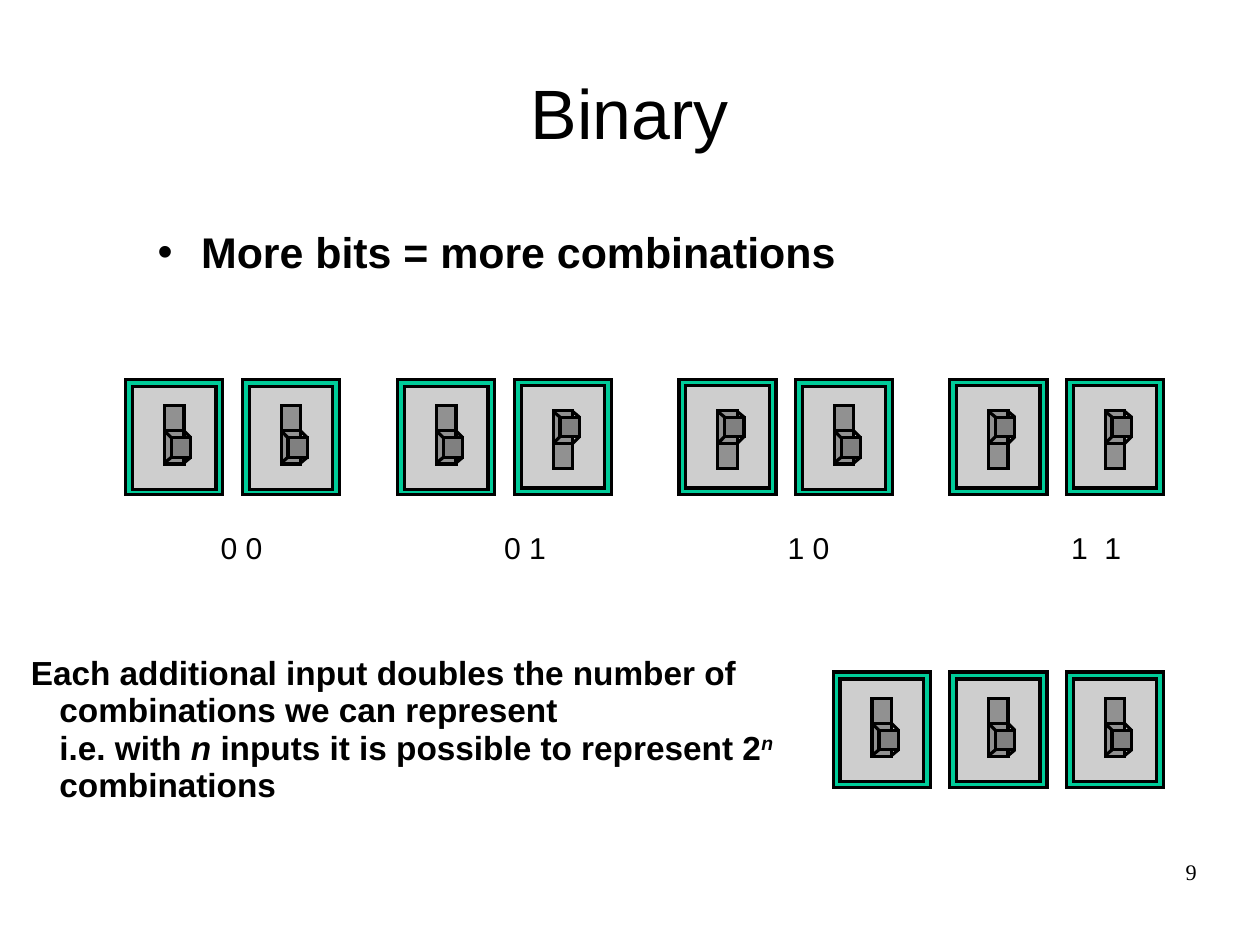
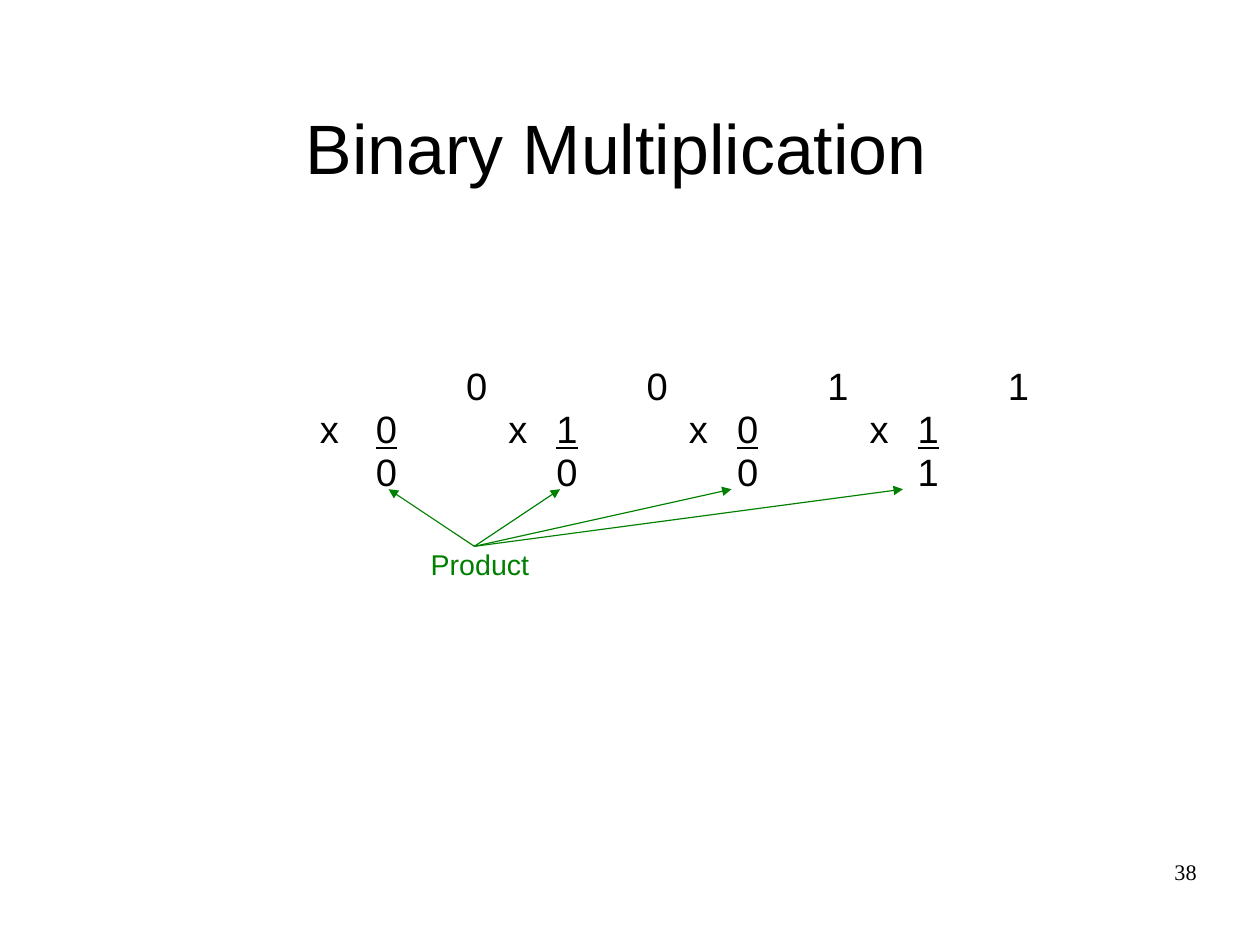
from dataclasses import dataclass
from typing import Any, Sequence

import pptx
import pptx.dml.color
import pptx.enum.shapes
import pptx.enum.text
import pptx.oxml.ns
import pptx.util
from lxml import etree
from pptx.util import Inches

BLACK = "000000"
GREEN = "008000"
PLATE_FRAME = "00CC99"
PLATE = "CECECE"
SLOT = "919191"
KNOB = "808080"
SANS = "Arial"
SERIF = "Times New Roman"
ALIGN = pptx.enum.text.PP_ALIGN

SWITCH_HEIGHT = 1.01
SWITCH_PITCH = 1.02
SUM_PITCH = 1.58


@dataclass(frozen=True)
class Style:
    size: float
    color: str = BLACK
    font: str = SANS
    bold: bool = False


@dataclass(frozen=True)
class Span:
    text: str
    italic: bool = False
    underline: bool = False
    superscript: bool = False


@dataclass(frozen=True)
class Box:
    left: float
    top: float
    width: float
    height: float


@dataclass(frozen=True)
class Part:
    box: Box
    fill: str


@dataclass(frozen=True)
class Edge:
    x1: float
    y1: float
    x2: float
    y2: float


SWITCH_PARTS = (
    Part(Box(0, 0, 0.85, 1.01), PLATE_FRAME),
    Part(Box(0.06, 0.06, 0.73, 0.9), PLATE),
    Part(Box(0.34, 0.23, 0.17, 0.51), SLOT),
    Part(Box(0.4, 0.51, 0.17, 0.17), KNOB),
)
SWITCH_EDGES = (
    Edge(0.34, 0.73, 0.4, 0.68),
    Edge(0.51, 0.73, 0.57, 0.68),
    Edge(0.4, 0.51, 0.34, 0.45),
    Edge(0.57, 0.51, 0.51, 0.45),
    Edge(0.34, 0.45, 0.51, 0.45),
)


def rgb(color: str) -> pptx.dml.color.RGBColor:
    return pptx.dml.color.RGBColor.from_string(color)


def add_child(parent: Any, tag: str, **attrs: str) -> Any:
    return etree.SubElement(parent, pptx.oxml.ns.qn(tag), attrs)


def set_insets(tf: Any, left: float, top: float, right: float, bottom: float) -> None:
    tf.margin_left, tf.margin_top = Inches(left), Inches(top)
    tf.margin_right, tf.margin_bottom = Inches(right), Inches(bottom)


def set_line(line: Any, color: str, width: float) -> Any:
    line.color.rgb = rgb(color)
    line.width = pptx.util.Pt(width)
    ln = line._get_or_add_ln()
    add_child(ln, "a:miter", lim="800000")
    return ln


def write(p: Any, spans: Sequence[Span], style: Style, align: Any = ALIGN.LEFT,
          spacing: float = 0.93) -> None:
    p.alignment = align
    p.line_spacing = spacing
    for span in spans:
        for i, line in enumerate(span.text.split("\n")):
            if i:
                p.add_line_break()
            r = p.add_run()
            r.text = line
            r.font.size = pptx.util.Pt(style.size)
            r.font.name = style.font
            r.font.bold = style.bold
            r.font.italic = span.italic
            r.font.underline = span.underline
            r.font.color.rgb = rgb(style.color)
            if span.superscript:
                r._r.get_or_add_rPr().set("baseline", "30000")


def set_indent(p: Any, left: float, first: float, bullet: str = "") -> None:
    pPr = p._p.get_or_add_pPr()
    pPr.set("marL", str(Inches(left)))
    pPr.set("indent", str(Inches(first)))
    if bullet:
        add_child(pPr, "a:buFont", typeface=SANS)
        add_child(pPr, "a:buChar", char=bullet)


def set_tabs(p: Any, stops: Sequence[float]) -> None:
    tabs = add_child(p._p.get_or_add_pPr(), "a:tabLst")
    for stop in sorted(stops):
        add_child(tabs, "a:tab", pos=str(Inches(stop)), algn="l")


def add_text_box(s: Any, box: Box, insets: Sequence[float], wrap: bool = True) -> Any:
    sp = s.shapes.add_textbox(Inches(box.left), Inches(box.top),
                              Inches(box.width), Inches(box.height))
    sp.text_frame.word_wrap = wrap
    set_insets(sp.text_frame, *insets)
    return sp


def add_line(shapes: Any, edge: Edge, color: str, width: float, arrow: bool = False) -> Any:
    line = shapes.add_connector(
        pptx.enum.shapes.MSO_CONNECTOR.STRAIGHT,
        Inches(edge.x1), Inches(edge.y1), Inches(edge.x2), Inches(edge.y2))
    ln = set_line(line.line, color, width)
    if arrow:
        add_child(ln, "a:tailEnd", type="triangle")
    add_child(line._element.spPr, "a:effectLst")
    return line


def add_switch(s: Any, left: float, top: float, on: bool) -> None:
    shapes = s.shapes.add_group_shape().shapes

    def place(y: float, height: float = 0) -> float:
        return top + (SWITCH_HEIGHT - y - height if on else y)

    for part in SWITCH_PARTS:
        b = part.box
        sp = shapes.add_shape(
            pptx.enum.shapes.MSO_SHAPE.RECTANGLE,
            Inches(left + b.left), Inches(place(b.top, b.height)),
            Inches(b.width), Inches(b.height))
        sp.shadow.inherit = False
        sp.fill.solid()
        sp.fill.fore_color.rgb = rgb(part.fill)
        set_line(sp.line, BLACK, 2)
    for e in SWITCH_EDGES:
        add_line(shapes, Edge(left + e.x1, place(e.y1), left + e.x2, place(e.y2)), BLACK, 2)


def add_switches(s: Any, left: float, top: float, bits: str) -> None:
    for i, bit in enumerate(bits):
        add_switch(s, left + i * SWITCH_PITCH, top, bit == "1")


def add_slide(prs: Any, title: str, box: Box, top_inset: float, number: str) -> Any:
    s = prs.slides.add_slide(prs.slide_layouts.get_by_name("Title Only"))
    sp = s.shapes.title
    sp.left, sp.top = Inches(box.left), Inches(box.top)
    sp.width, sp.height = Inches(box.width), Inches(box.height)
    tf = sp.text_frame
    tf.auto_size = pptx.enum.text.MSO_AUTO_SIZE.NONE
    tf.vertical_anchor = pptx.enum.text.MSO_ANCHOR.MIDDLE
    set_insets(tf, 0, top_inset, 0, 0)
    write(tf.paragraphs[0], [Span(title)], Style(44), ALIGN.CENTER)
    page = add_text_box(s, Box(7.9, 7.53, 2.57, 0.57), (0, 0, 0, 0))
    write(page.text_frame.paragraphs[0], [Span(number)], Style(14, font=SERIF),
          ALIGN.RIGHT, 0.95)
    return s


def build_binary(prs: Any) -> None:
    s = add_slide(prs, "Binary", Box(0.55, 0.33, 9.92, 1.38), 0, "9")

    p = add_text_box(s, Box(1.38, 1.98, 7.54, 0.61), (0, 0.03, 0, 0)).text_frame.paragraphs[0]
    set_indent(p, 0.38, -0.38, "•")
    write(p, [Span("More bits = more combinations")], Style(27, bold=True))

    for left, bits in zip((1.1, 3.48, 5.94, 8.31), ("00", "01", "10", "11")):
        add_switches(s, left, 3.32, bits)
    add_switches(s, 7.29, 5.88, "000")

    insets = (0.11, 0.05, 0.11, 0.05)
    p = add_text_box(s, Box(1.02, 4.61, 9.41, 0.4), insets).text_frame.paragraphs[0]
    set_tabs(p, [0.8 + 2.48 * i for i in range(4)])
    write(p, [Span("\t0 0\t0 1\t1 0\t1  1")], Style(19))

    p = add_text_box(s, Box(0, 5.69, 7.69, 1.41), insets).text_frame.paragraphs[0]
    set_indent(p, 0.41, -0.25)
    write(p, [
        Span("Each additional input doubles the number of combinations we can represent\n"
             "i.e. with "),
        Span("n ", italic=True),
        Span("inputs it is possible to represent 2"),
        Span("n", italic=True, superscript=True),
        Span(" combinations"),
    ], Style(21, bold=True))


def build_multiplication(prs: Any) -> None:
    s = add_slide(prs, "Binary Multiplication", Box(0.55, 0.61, 9.69, 1.38), 0.04, "38")

    columns = [SUM_PITCH * i for i in range(4)]
    digit_stops = [0.49 + x for x in columns]
    sign_stops = [1.65 + x for x in columns[:3]]
    factors = [Span("x\t"), Span("0", underline=True)]
    for digit in "101":
        factors += [Span("\tx\t"), Span(digit, underline=True)]
    rows = (
        ([1.28 + x for x in columns], [Span("\t0\t0\t1\t1")]),
        (digit_stops + sign_stops, factors),
        (digit_stops, [Span("\t0\t0\t0\t1")]),
    )
    tf = add_text_box(s, Box(2.7, 3.14, 6.6, 1.21), (0.1, 0.07, 0.1, 0.05)).text_frame
    for i, (stops, spans) in enumerate(rows):
        p = tf.add_paragraph() if i else tf.paragraphs[0]
        set_tabs(p, stops)
        write(p, spans, Style(24))

    product = add_text_box(s, Box(3.67, 4.78, 0.96, 0.35), (0.1, 0.03, 0, 0.05), wrap=False)
    write(product.text_frame.paragraphs[0], [Span("Product")], Style(18, GREEN))
    for i in range(4):
        arrow = add_line(s.shapes, Edge(4.15, 4.78, 3.4 + 1.5 * i, 4.28), GREEN, 0.75, arrow=True)
        arrow.begin_connect(product, 0)


def main() -> None:
    prs = pptx.Presentation()
    prs.slide_width = pptx.util.Cm(28)
    prs.slide_height = pptx.util.Cm(21)
    build_binary(prs)
    build_multiplication(prs)
    prs.save("out.pptx")


if __name__ == "__main__":
    main()
